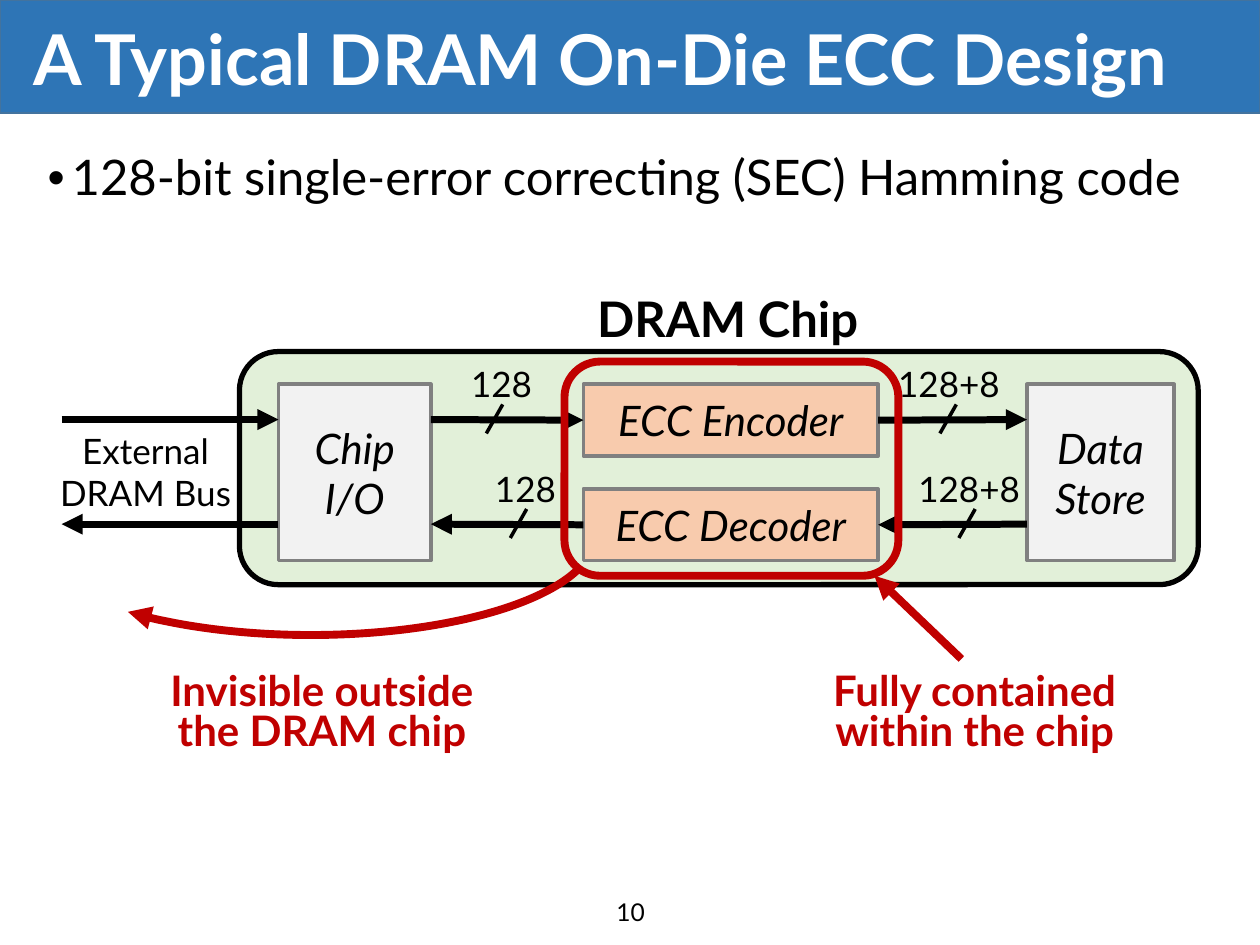
from lxml.etree import SubElement
from pptx import Presentation
from pptx.dml.color import RGBColor
from pptx.enum.shapes import MSO_CONNECTOR, MSO_SHAPE
from pptx.enum.text import MSO_ANCHOR, PP_ALIGN
from pptx.oxml.ns import qn
from pptx.util import Inches, Pt

BLACK, WHITE, GRAY, RED = "000000", "FFFFFF", "808080", "C00000"
LIGHT_GRAY, ORANGE, GREEN = "F2F2F2", "F8CBAD", "E2F0D9"
LEFT, RIGHT = 1, 3


def color(hex_code):
    return RGBColor.from_string(hex_code)


class Diagram:
    font = "Lato"

    def __init__(self, slide):
        self.slide = slide

    def add_words(self, frame, paragraphs, size, ink=BLACK, bold=False, italic=False,
                  align=PP_ALIGN.CENTER, anchor=MSO_ANCHOR.TOP, spacing=None):
        frame.word_wrap = True
        frame.vertical_anchor = anchor
        for index, words in enumerate(paragraphs):
            paragraph = frame.add_paragraph() if index else frame.paragraphs[0]
            paragraph.alignment = align
            if spacing:
                paragraph.line_spacing = spacing
            run = paragraph.add_run()
            run.text = words
            run.font.name = self.font
            run.font.size = Pt(size)
            run.font.bold = bold
            run.font.italic = italic
            run.font.color.rgb = color(ink)

    def text(self, x, y, width, height, paragraphs, size, **style):
        box = self.slide.shapes.add_textbox(
            Inches(x), Inches(y), Inches(width), Inches(height))
        self.add_words(box.text_frame, paragraphs, size, **style)
        return box

    def bullet(self, x, y, width, height, words, size):
        box = self.text(x, y, width, height, [words], size,
                        align=PP_ALIGN.LEFT, spacing=0.9)
        paragraph = box.text_frame.paragraphs[0]
        paragraph.space_before = Pt(7.5)
        properties = paragraph._p.get_or_add_pPr()
        properties.set("marL", str(Inches(0.19)))
        properties.set("indent", str(-Inches(0.19)))
        SubElement(properties, qn("a:buFont"), typeface="Arial")
        SubElement(properties, qn("a:buChar"), char="•")

    def shape(self, kind, x, y, width, height, fill, line, weight):
        shape = self.slide.shapes.add_shape(
            kind, Inches(x), Inches(y), Inches(width), Inches(height))
        shape.shadow.inherit = False
        if fill:
            shape.fill.solid()
            shape.fill.fore_color.rgb = color(fill)
        else:
            shape.fill.background()
        shape.line.color.rgb = color(line)
        shape.line.width = Pt(weight)
        return shape

    def block(self, x, y, width, height, fill, paragraphs):
        block = self.shape(MSO_SHAPE.RECTANGLE, x, y, width, height, fill, GRAY, 2)
        self.add_words(block.text_frame, paragraphs, 24, italic=True,
                       anchor=MSO_ANCHOR.MIDDLE)
        return block

    def arrowhead(self, shape):
        SubElement(shape.line._get_or_add_ln(), qn("a:tailEnd"), type="triangle")

    def line(self, start, end, weight, ink=BLACK, arrow=True, begin=None, finish=None):
        points = [Inches(value) for value in (*start, *end)]
        line = self.slide.shapes.add_connector(MSO_CONNECTOR.STRAIGHT, *points)
        line.line.color.rgb = color(ink)
        line.line.width = Pt(weight)
        if arrow:
            self.arrowhead(line)
        SubElement(line._element.spPr, qn("a:effectLst"))
        if begin:
            line.begin_connect(*begin)
        if finish:
            line.end_connect(*finish)

    def bus_width(self, x, y, bits, label_x):
        """Slash across a bus, with the number of bits above it."""
        self.line((x + 0.13, y - 0.12), (x, y + 0.11), 2, arrow=False)
        self.text(label_x, y - 0.5, 1.19, 0.55, [bits], 20, align=PP_ALIGN.LEFT)


def main():
    deck = Presentation()
    deck.slide_width, deck.slide_height = Inches(10), Inches(7.5)
    diagram = Diagram(deck.slides.add_slide(deck.slide_layouts[6]))

    # Title and statement
    diagram.shape(MSO_SHAPE.RECTANGLE, 0, 0, 10, 0.9, "2E75B6", "43739E", 1)
    diagram.text(0.17, 0.09, 9.64, 0.82, ["A Typical DRAM On-Die ECC Design"], 40,
                 ink=WHITE, bold=True, align=PP_ALIGN.LEFT,
                 anchor=MSO_ANCHOR.MIDDLE, spacing=0.9)
    diagram.bullet(0.28, 1.17, 9.45, 0.54,
                   "128-bit single-error correcting (SEC) Hamming code", 28)

    # Chip and its blocks
    top, write_y, read_y = 3.05, 3.33, 4.16
    bus_end, io_left, io_right, ecc_left, ecc_right, store_left = (
        0.49, 2.21, 3.42, 4.63, 6.97, 8.15)
    diagram.shape(MSO_SHAPE.ROUNDED_RECTANGLE, 1.9, 2.79, 7.61, 1.85, GREEN, BLACK, 3)
    diagram.block(store_left, top, 1.17, 1.4, LIGHT_GRAY, ["Data", "Store"])
    diagram.block(io_left, top, io_right - io_left, 1.4, LIGHT_GRAY, ["Chip", "I/O"])
    encoder, decoder = [
        diagram.block(ecc_left, y, ecc_right - ecc_left, 0.57, ORANGE, [words])
        for y, words in ((top, "ECC Encoder"), (3.88, "ECC Decoder"))]

    # Write direction, left to right
    diagram.line((bus_end, write_y), (io_left, write_y), 4)
    diagram.line((io_right, write_y), (ecc_left, write_y), 4, finish=(encoder, LEFT))
    diagram.line((ecc_right, write_y), (store_left, write_y), 4, begin=(encoder, RIGHT))

    # Read direction, right to left
    diagram.line((store_left, read_y), (ecc_right, read_y), 4, finish=(decoder, RIGHT))
    diagram.line((ecc_left, read_y), (io_right, read_y), 4, begin=(decoder, LEFT))
    diagram.line((io_left, read_y), (bus_end, read_y), 4)

    # Bus widths
    for x, y, bits, label_x in (
            (3.86, write_y, "128", 3.64), (4.05, read_y, "128", 3.83),
            (7.61, read_y, "128+8", 7.19), (7.46, write_y, "128+8", 7.03)):
        diagram.bus_width(x, y, bits, label_x)

    # Chip and bus names
    diagram.text(0.35, 3.36, 1.61, 0.77, ["External DRAM Bus"], 20)
    diagram.text(4.63, 2.24, 2.29, 0.57, ["DRAM Chip"], 28, bold=True)

    # Callouts about the ECC blocks
    callout = dict(size=24, ink=RED, bold=True, spacing=0.8)
    diagram.text(6.3, 5.3, 2.87, 0.77, ["Fully contained within the chip"], **callout)
    diagram.line((7.63, 5.23), (6.94, 4.57), 4.5, ink=RED)
    diagram.shape(MSO_SHAPE.ROUNDED_RECTANGLE, 4.48, 2.87, 2.65, 1.7, None, RED, 4.5)
    outward = diagram.shape(MSO_SHAPE.ARC, 0.21, 3.47, 4.51, 1.57, None, RED, 4.5)
    outward.adjustments[0], outward.adjustments[1] = 4.08, 94.48
    diagram.arrowhead(outward)
    diagram.text(1.12, 5.3, 2.87, 0.77,
                 ["Invisible outside", "the DRAM chip"], **callout)

    # Page number
    diagram.text(3.88, 7.07, 2.25, 0.31, ["10"], 14)

    deck.save("out.pptx")


if __name__ == "__main__":
    main()
